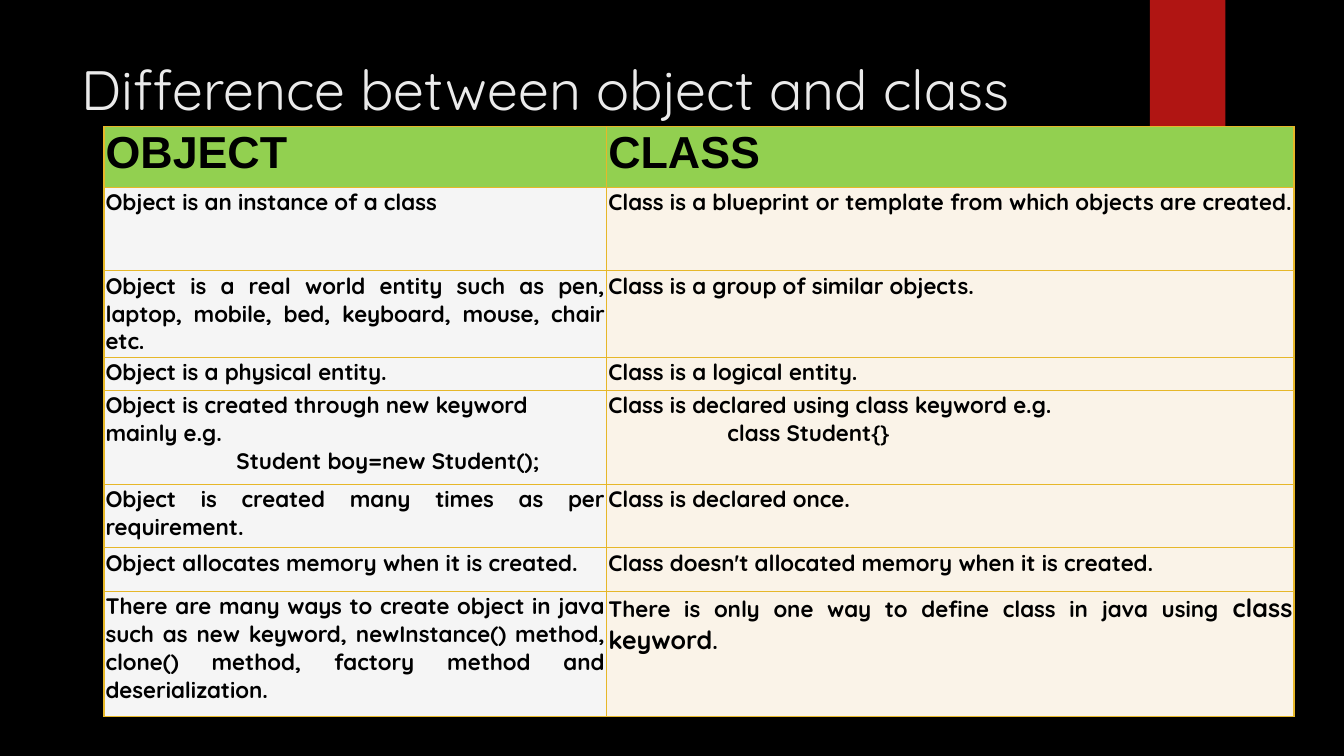
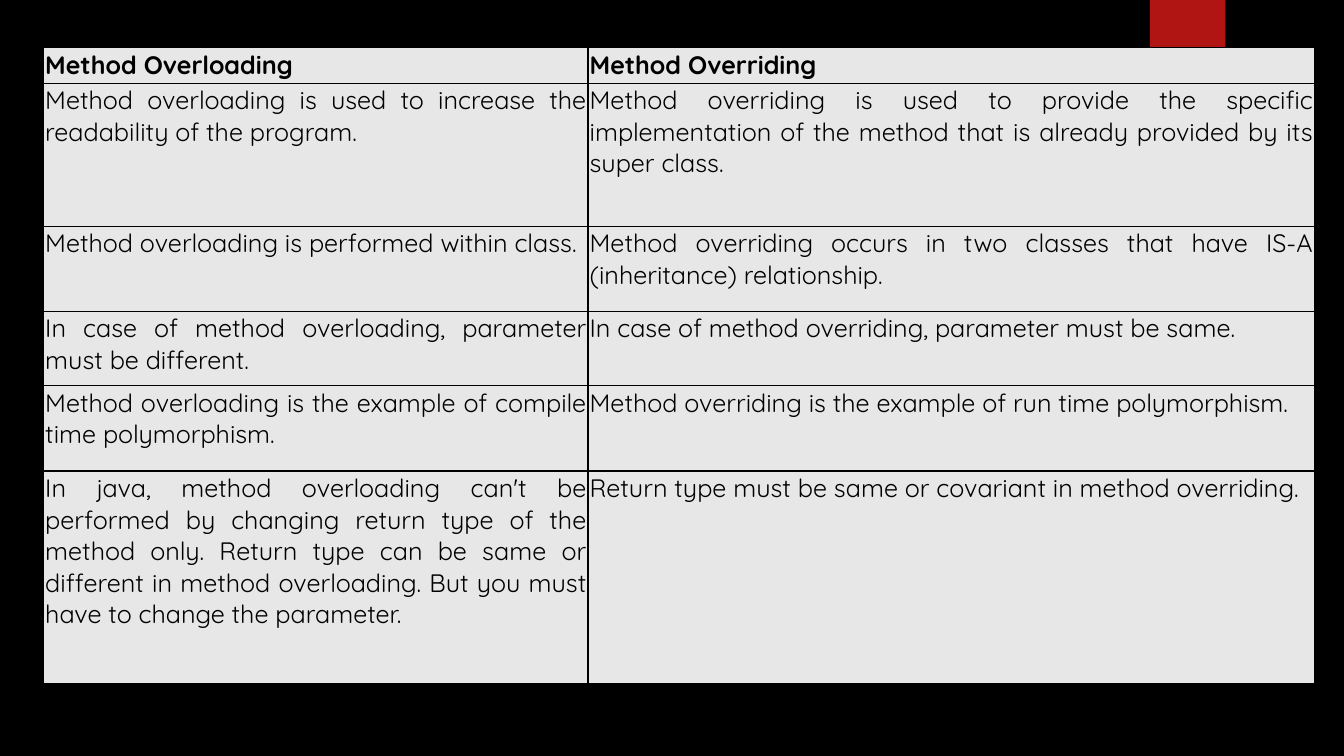
from dataclasses import dataclass

from lxml.etree import SubElement
from pptx import Presentation
from pptx.dml.color import RGBColor
from pptx.enum.shapes import MSO_SHAPE as Shape
from pptx.enum.text import MSO_ANCHOR as Anchor, PP_ALIGN as Align
from pptx.oxml.ns import qn
from pptx.util import Cm, Pt

# Shared look
BLACK = RGBColor(0x00, 0x00, 0x00)
TITLE_WHITE = RGBColor(0xEB, 0xEB, 0xEB)
BAND_RED = RGBColor(0xB0, 0x15, 0x13)
GOLD = RGBColor(0xE6, 0xB7, 0x29)
HEADER_GREEN = RGBColor(0x92, 0xD0, 0x50)
PALE_GREY = RGBColor(0xF5, 0xF5, 0xF5)
CREAM = RGBColor(0xFA, 0xF3, 0xE8)
GREY = RGBColor(0xE7, 0xE7, 0xE7)
BODY_FONT = "Quicksand"
HEADER_FONT = "Arial"


@dataclass
class Para:
    """One paragraph: runs are (text, size) pairs, None means the table's size."""
    runs: list
    align: Align = Align.JUSTIFY
    indent: float = 0


@dataclass
class TableLook:
    border: RGBColor
    header_fill: RGBColor
    column_fills: tuple
    header_font: str
    header_size: float
    body_size: float
    body_bold: bool


def left(text, indent=0):
    return Para([(text, None)], Align.LEFT, indent)


OBJECT_CLASS_LOOK = TableLook(GOLD, HEADER_GREEN, (PALE_GREY, CREAM),
                              HEADER_FONT, 32, 16, True)
OBJECT_CLASS_ROWS = [
    ("OBJECT", "CLASS"),
    ("Object is an instance of a class",
     [left("Class is a blueprint or template from which objects are created.")]),
    ("Object is a real world entity such as pen, laptop, mobile, bed, "
     "keyboard, mouse, chair etc.",
     "Class is a group of similar objects."),
    ("Object is a physical entity.", "Class is a logical entity."),
    ([left("Object is created through new keyword mainly e.g."),
      left("Student boy=new Student();", 3.3)],
     [left("Class is declared using class keyword e.g."),
      left("class Student{}", 3)]),
    ("Object is created many times as per requirement.",
     "Class is declared once."),
    ("Object allocates memory when it is created.",
     "Class doesn't allocated memory when it is created."),
    ("There are many ways to create object in java such as new keyword, "
     "newInstance() method, clone() method, factory method and deserialization.",
     [Para([("There is only one way to define class in java using ", None),
            ("class keyword", 18), (".", None)])]),
]

METHODS_LOOK = TableLook(BLACK, GREY, (GREY, GREY), BODY_FONT, 18, 18, False)
METHODS_ROWS = [
    ("Method Overloading", "Method Overriding"),
    ("Method overloading is used to increase the readability of the program.",
     "Method overriding is used to provide the specific implementation of "
     "the method that is already provided by its super class."),
    ("Method overloading is performed within class.",
     "Method overriding occurs in two classes that have IS-A (inheritance) "
     "relationship."),
    ("In case of method overloading, parameter must be different.",
     "In case of method overriding, parameter must be same."),
    ("Method overloading is the example of compile time polymorphism.",
     "Method overriding is the example of run time polymorphism."),
    ("In java, method overloading can't be performed by changing return type "
     "of the method only. Return type can be same or different in method "
     "overloading. But you must have to change the parameter.",
     "Return type must be same or covariant in method overriding."),
]


def style_run(run, font_name, size, color, bold=False):
    run.font.name = font_name
    run.font.size = Pt(size)
    run.font.bold = bold
    run.font.color.rgb = color


def dress_master(master, slide):
    """Black background and red band, shared by every slide."""
    master.background.fill.solid()
    master.background.fill.fore_color.rgb = BLACK
    band = slide.shapes.add_shape(Shape.RECTANGLE, Cm(28.98), 0, Cm(1.9), Cm(3.18))
    band.shadow.inherit = False
    band.fill.solid()
    band.fill.fore_color.rgb = BAND_RED
    band.line.fill.background()
    master.shapes._spTree.append(band._element)


def place_title(slide, text, x, y, width, height):
    title = slide.shapes.title
    title.left, title.top, title.width, title.height = map(Cm, (x, y, width, height))
    frame = title.text_frame
    frame.word_wrap = True
    frame.vertical_anchor = Anchor.TOP
    heading = frame.paragraphs[0]
    heading.alignment = Align.LEFT
    run = heading.add_run()
    run.text = text
    style_run(run, BODY_FONT, 39.6, TITLE_WHITE)


def set_borders(cell, color):
    """Draw all four cell edges; lines must come before the fill."""
    props = cell._tc.get_or_add_tcPr()
    for order, edge in enumerate(("lnL", "lnR", "lnT", "lnB")):
        line = SubElement(props, qn(f"a:{edge}"), w=str(Pt(1)))
        fill = SubElement(line, qn("a:solidFill"))
        SubElement(fill, qn("a:srgbClr"), val=str(color))
        props.insert(order, line)


def fill_cell(cell, content, look, column, is_header):
    cell.fill.solid()
    cell.fill.fore_color.rgb = look.header_fill if is_header else look.column_fills[column]
    set_borders(cell, look.border)
    cell.margin_left = cell.margin_right = Cm(0.04)
    cell.margin_top = cell.margin_bottom = Cm(0.03)
    cell.vertical_anchor = Anchor.TOP

    font_name = look.header_font if is_header else BODY_FONT
    base_size = look.header_size if is_header else look.body_size
    paras = [Para([(content, None)])] if isinstance(content, str) else content
    frame = cell.text_frame
    for number, para in enumerate(paras):
        target = frame.add_paragraph() if number else frame.paragraphs[0]
        target.alignment = para.align
        if para.indent:
            target._p.get_or_add_pPr().set("marL", str(Cm(para.indent)))
        for text, size in para.runs:
            run = target.add_run()
            run.text = text
            style_run(run, font_name, size or base_size, BLACK,
                      is_header or look.body_bold)


def comparison_table(slide, rows, look, x, y, widths, heights):
    """Two-column comparison with a header row, from its top left corner."""
    table = slide.shapes.add_table(len(rows), len(widths), Cm(x), Cm(y),
                                   Cm(sum(widths)), Cm(sum(heights))).table
    table.first_row = table.horz_banding = False
    for column, width in zip(table.columns, widths):
        column.width = Cm(width)
    for row, height in zip(table.rows, heights):
        row.height = Cm(height)
    for r, contents in enumerate(rows):
        for c, content in enumerate(contents):
            fill_cell(table.cell(r, c), content, look, c, r == 0)


def main():
    deck = Presentation()
    deck.slide_width, deck.slide_height = Cm(33.87), Cm(19.05)
    title_only, blank = deck.slide_layouts[5], deck.slide_layouts[6]

    # Object and class
    object_class = deck.slides.add_slide(title_only)
    dress_master(deck.slide_master, object_class)
    place_title(object_class, "Difference between object and class",
                1.8, 1.27, 26.14, 3.89)
    comparison_table(object_class, OBJECT_CLASS_ROWS, OBJECT_CLASS_LOOK, 2.62, 3.19,
                     (12.67, 17.32), (1.53, 2.1, 2.18, 0.83, 2.37, 1.6, 1.1, 3.16))

    # Overloading and overriding
    methods = deck.slides.add_slide(blank)
    comparison_table(methods, METHODS_ROWS, METHODS_LOOK, 1.1, 1.2,
                     (13.72, 18.31), (0.9, 3.6, 2.15, 1.87, 2.15, 5.36))

    deck.save("out.pptx")


if __name__ == "__main__":
    main()
